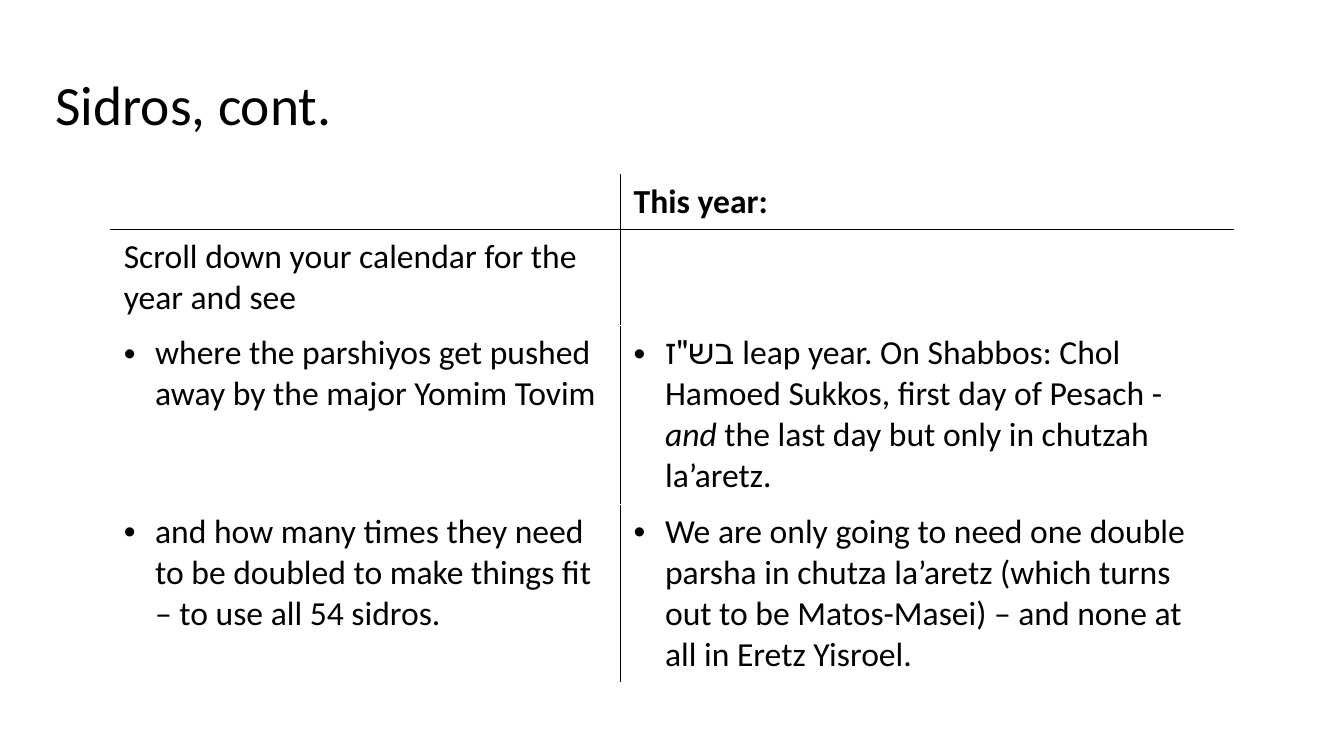
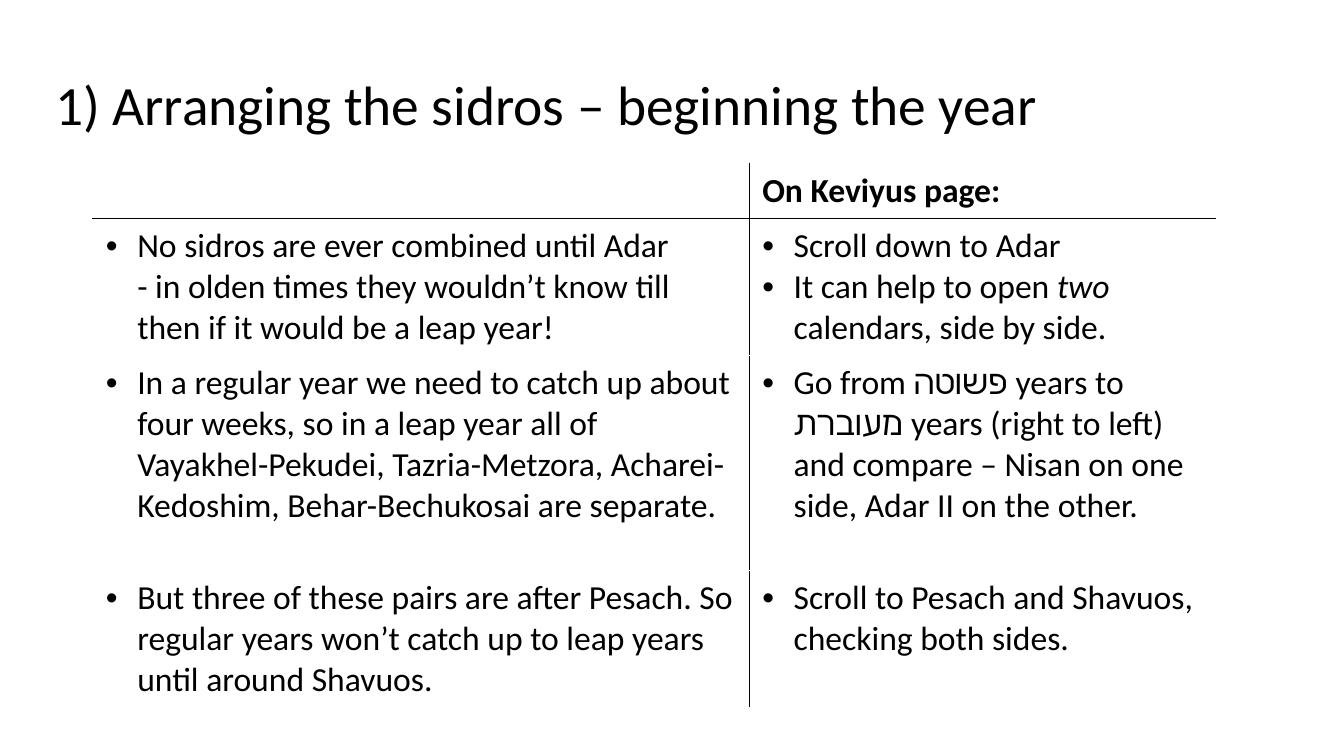
from dataclasses import dataclass

from lxml.etree import SubElement
from pptx import Presentation
from pptx.dml.color import RGBColor
from pptx.enum.text import MSO_ANCHOR, MSO_AUTO_SIZE, PP_ALIGN
from pptx.oxml.ns import qn
from pptx.util import Cm, Pt

FONT = "Calibri"
INK = "000000"
PAPER = "FFFFFF"
TITLE_SIZE = 39.6
BODY_SIZE = 24
CELL_INSET_X = Cm(0.33)
CELL_INSET_Y = Cm(0.18)
BULLET_INDENT = Cm(0.79)
TITLE_ONLY_LAYOUT = 5


@dataclass(frozen=True)
class Passage:
    """Text in which asterisks enclose italics."""
    text: str
    bulleted: bool = True
    bold: bool = False


@dataclass(frozen=True)
class Comparison:
    title: str
    left: float
    top: float
    column_widths: tuple[float, ...]
    row_heights: tuple[float, ...]
    rows: tuple[tuple[tuple[Passage, ...], ...], ...]


def color(value: str) -> RGBColor:
    return RGBColor.from_string(value)


def style_run(run, size: float, bold: bool = False) -> None:
    run.font.name = FONT
    run.font.size = Pt(size)
    run.font.bold = bold
    run.font.color.rgb = color(INK)


def add_bullet(paragraph) -> None:
    properties = paragraph._p.get_or_add_pPr()
    properties.set("marL", str(BULLET_INDENT))
    properties.set("indent", str(-BULLET_INDENT))
    bullet_color = SubElement(properties, qn("a:buClr"))
    SubElement(bullet_color, qn("a:srgbClr"), val=INK)
    SubElement(properties, qn("a:buFont"), typeface="Arial")
    SubElement(properties, qn("a:buChar"), char="•")


def write_passage(paragraph, passage: Passage) -> None:
    opening, *others = passage.text.split("*")
    paragraph.text = opening
    for position, piece in enumerate(others):
        run = paragraph.add_run()
        run.text = piece
        run.font.italic = position % 2 == 0
    for run in paragraph.runs:
        style_run(run, BODY_SIZE, passage.bold)
    if passage.bulleted:
        add_bullet(paragraph)


def set_borders(cell, edges: dict[str, str]) -> None:
    properties = cell._tc.get_or_add_tcPr()
    for edge, value in edges.items():
        line = SubElement(properties, qn(f"a:ln{edge}"), w=str(Pt(1)))
        fill = SubElement(line, qn("a:solidFill"))
        SubElement(fill, qn("a:srgbClr"), val=value)


def draw_title(slide, text: str) -> None:
    title = slide.shapes.title
    title.left, title.top = Cm(1.14), Cm(1.65)
    title.width, title.height = Cm(31.55), Cm(2.13)
    frame = title.text_frame
    frame.text = text
    frame.word_wrap = True
    frame.auto_size = MSO_AUTO_SIZE.NONE
    frame.vertical_anchor = MSO_ANCHOR.MIDDLE
    frame.margin_left = frame.margin_right = Cm(0.25)
    frame.margin_top = frame.margin_bottom = Cm(0.25)
    paragraph = frame.paragraphs[0]
    paragraph.alignment = PP_ALIGN.LEFT
    paragraph.line_spacing = 0.9
    style_run(paragraph.runs[0], TITLE_SIZE)


def draw_cell(cell, passages: tuple[Passage, ...], row: int, column: int) -> None:
    cell.margin_left = cell.margin_right = CELL_INSET_X
    cell.margin_top = cell.margin_bottom = CELL_INSET_Y
    cell.vertical_anchor = MSO_ANCHOR.TOP
    frame = cell.text_frame
    for position, passage in enumerate(passages):
        paragraph = frame.add_paragraph() if position else frame.paragraphs[0]
        write_passage(paragraph, passage)
    set_borders(cell, {
        "L": INK if column == 1 else PAPER,
        "R": INK if column == 0 else PAPER,
        "T": INK if row == 1 else PAPER,
        "B": INK if row == 0 else PAPER,
    })
    cell.fill.background()


def draw_comparison(presentation, comparison: Comparison) -> None:
    slide = presentation.slides.add_slide(presentation.slide_layouts[TITLE_ONLY_LAYOUT])
    draw_title(slide, comparison.title)
    table = slide.shapes.add_table(
        len(comparison.row_heights), len(comparison.column_widths),
        Cm(comparison.left), Cm(comparison.top),
        Cm(sum(comparison.column_widths)), Cm(sum(comparison.row_heights)),
    ).table
    table.first_row = False
    table.horz_banding = False
    for column, width in zip(table.columns, comparison.column_widths):
        column.width = Cm(width)
    for row, height in zip(table.rows, comparison.row_heights):
        row.height = Cm(height)
    for row_index, row in enumerate(comparison.rows):
        for column_index, passages in enumerate(row):
            draw_cell(table.cell(row_index, column_index), passages, row_index, column_index)


def heading(text: str) -> tuple[Passage, ...]:
    return (Passage(text, bulleted=False, bold=True),)


def points(*texts: str) -> tuple[Passage, ...]:
    return tuple(Passage(text) for text in texts)


COMPARISONS = (
    Comparison(
        "Sidros, cont.", 2.79, 4.39, (12.85, 15.44), (1.37, 2.36, 4.39, 4.39),
        (
            ((), heading("This year:")),
            ((Passage("Scroll down your calendar for the year and see", bulleted=False),), ()),
            (
                points("where the parshiyos get pushed away by the major Yomim Tovim"),
                points("בש\"ז leap year. On Shabbos: Chol Hamoed Sukkos, first day of "
                       "Pesach - *and *the last day but only in chutzah la’aretz."),
            ),
            (
                points("and how many times they need to be doubled to make things fit "
                       "– to use all 54 sidros."),
                points("We are only going to need one double parsha in chutza la’aretz "
                       "(which turns out to be Matos-Masei) – and none at all in Eretz Yisroel."),
            ),
        ),
    ),
    Comparison(
        "1) Arranging the sidros – beginning the year",
        2.34, 4.11, (16.54, 11.76), (1.37, 3.38, 5.41, 3.38),
        (
            ((), heading("On Keviyus page:")),
            (
                points("No sidros are ever combined until Adar\n- in olden times they "
                       "wouldn’t know till then if it would be a leap year!"),
                points("Scroll down to Adar",
                       "It can help to open *two* calendars, side by side."),
            ),
            (
                points("In a regular year we need to catch up about four weeks, so in a "
                       "leap year all of Vayakhel-Pekudei, Tazria-Metzora, "
                       "Acharei-Kedoshim, Behar-Bechukosai are separate."),
                points("Go from פשוטה years to מעוברת years (right to left) and compare "
                       "– Nisan on one side, Adar II on the other."),
            ),
            (
                points("But three of these pairs are after Pesach. So regular years "
                       "won’t catch up to leap years until around Shavuos."),
                points("Scroll to Pesach and Shavuos, checking both sides."),
            ),
        ),
    ),
)


def main() -> None:
    presentation = Presentation()
    presentation.slide_width = Cm(33.87)
    presentation.slide_height = Cm(19.05)
    for comparison in COMPARISONS:
        draw_comparison(presentation, comparison)
    presentation.save("out.pptx")


main()
